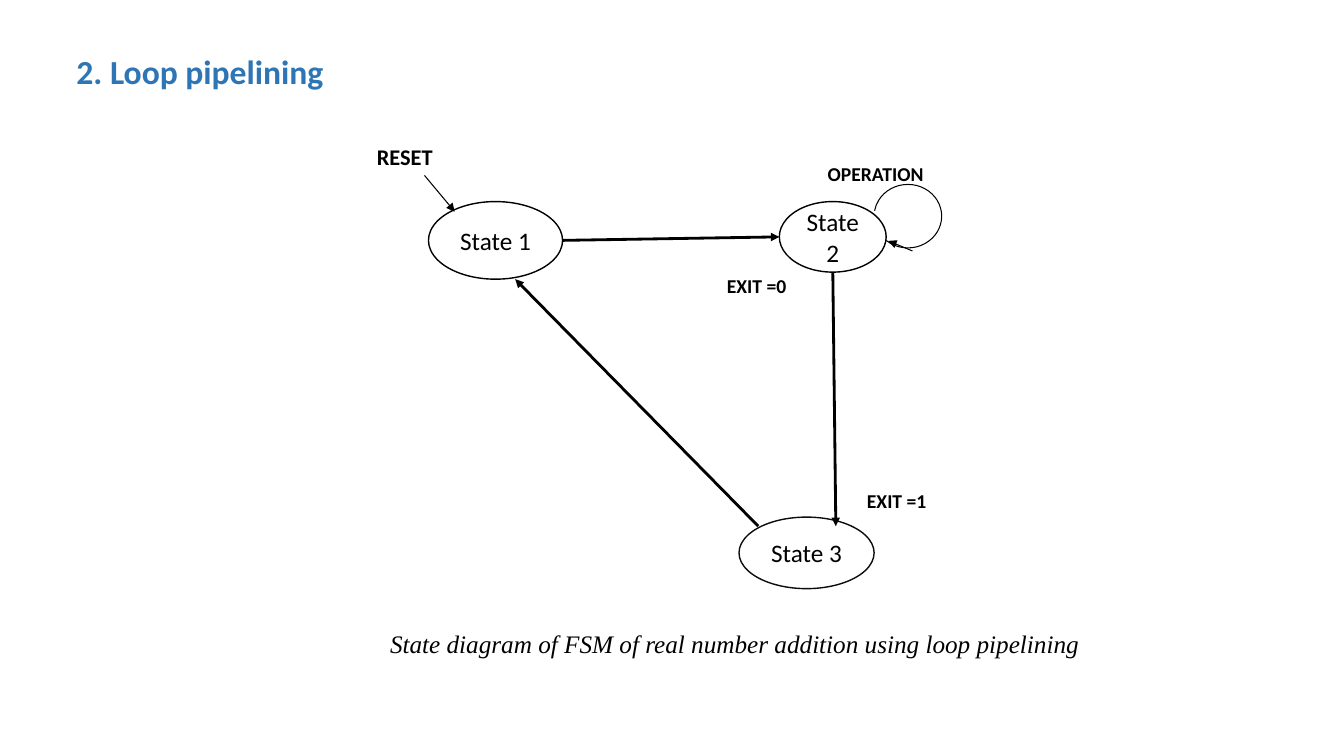
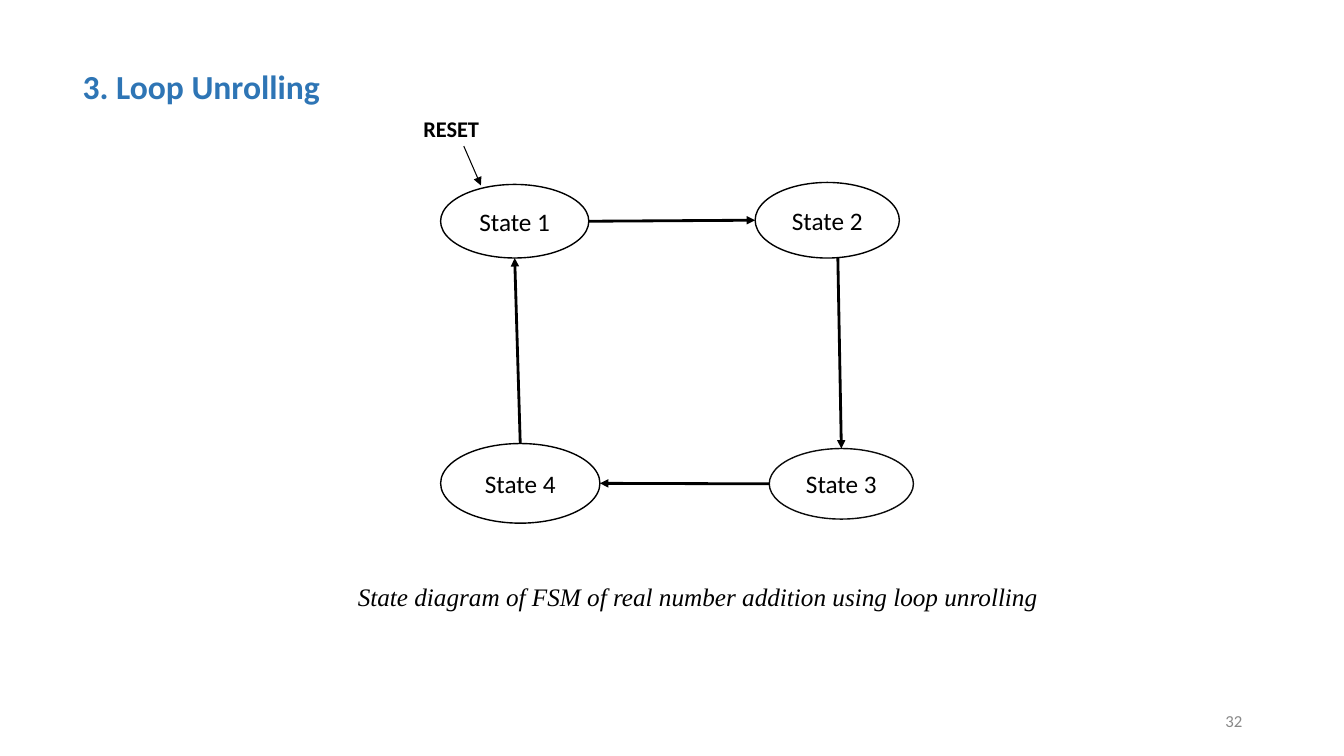
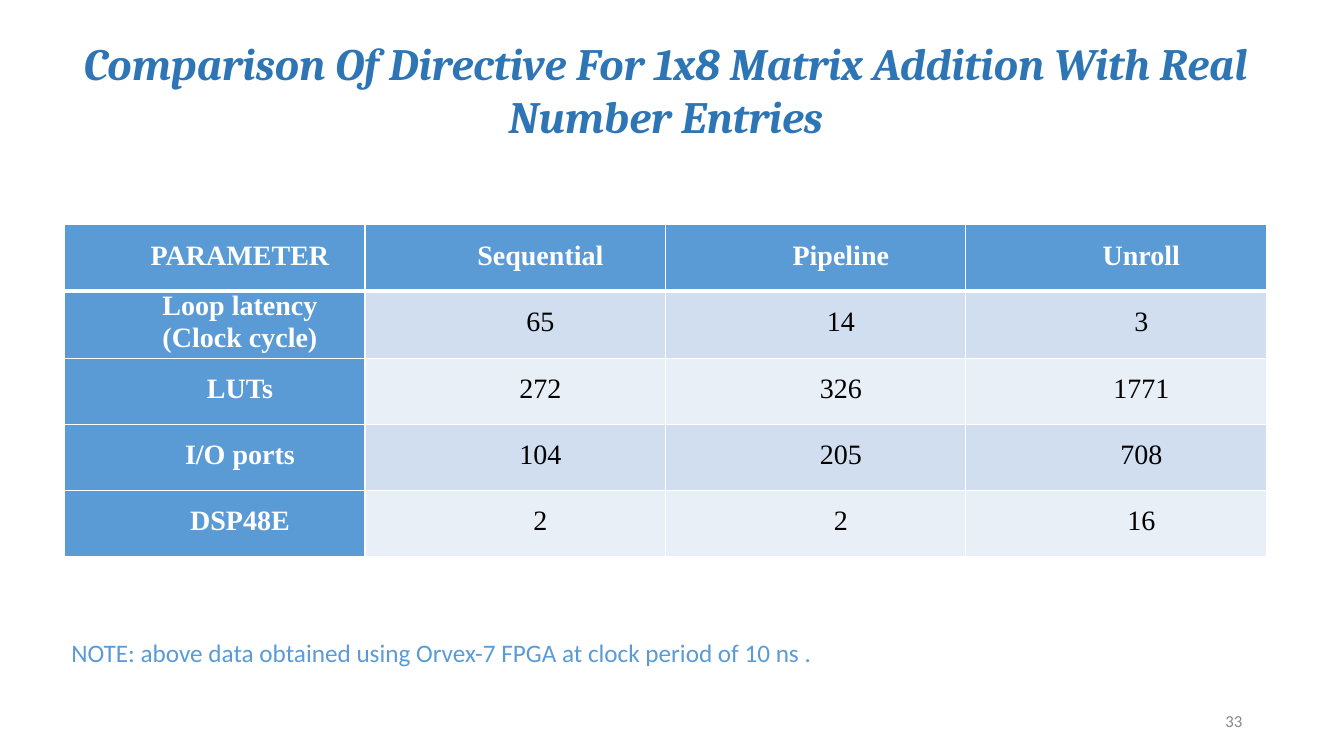
from dataclasses import dataclass
from typing import NamedTuple

from lxml import etree
from pptx import Presentation
from pptx import util as u
from pptx.dml.color import RGBColor
from pptx.enum import shapes, text
from pptx.oxml import ns

PX = 9144
TOP, LEFT, BOTTOM, RIGHT = range(4)


class Box(NamedTuple):
    """Rectangle in px."""
    x: int
    y: int
    w: int
    h: int

    def place(self, part):
        """Return a part of this box in slide px."""
        return Box(self.x + part[0], self.y + part[1], part[2], part[3])

    def emu(self):
        """Return left, top, width and height in EMU."""
        return [value * PX for value in self]


@dataclass(frozen=True)
class Style:
    """Look of one kind of text."""
    size: int
    color: str
    font: str = "Calibri"
    bold: bool = False
    italic: bool = False


class Theme:
    """Colours and type sizes of the deck."""
    ink, ink_soft, paper = "000000", "0C0C0C", "FFFFFF"
    blue, band_dark, band_light = "5B9BD5", "D0DEEF", "E9EFF7"
    heading = Style(24, "2E75B5", bold=True)
    banner = Style(32, "2E75B5", "Cambria", True, True)
    state = Style(18, ink)
    event = Style(16, ink, bold=True)
    signal = Style(14, ink, bold=True)
    caption = Style(18, ink, "Times New Roman", italic=True)
    note = Style(18, blue)
    number = Style(12, "888888")
    head_cell = Style(20, paper, "Times New Roman", True)
    body_cell = Style(20, ink, "Times New Roman")
    outline, heavy, fine = 1, 2, 0.75


def rgb(code):
    """Return a colour from its hex code."""
    return RGBColor.from_string(code)


def fill_text(frame, words, style, align=text.PP_ALIGN.LEFT, spacing=None):
    """Set the words of a frame and format them."""
    frame.text = words
    for para in frame.paragraphs:
        para.alignment = align
        para.line_spacing = spacing
        for span in para.runs:
            font = span.font
            font.name, font.size = style.font, u.Pt(style.size)
            font.bold, font.italic = style.bold, style.italic
            font.color.rgb = rgb(style.color)


def add_text(page, box, words, style, middle=False, **layout):
    """Add a wrapping text box."""
    frame = page.shapes.add_textbox(*box.emu()).text_frame
    frame.word_wrap = True
    if middle:
        frame.vertical_anchor = text.MSO_ANCHOR.MIDDLE
    fill_text(frame, words, style, **layout)


def add_number(page, number):
    """Add the slide number at the lower right."""
    add_text(page, Box(942, 695, 300, 40), number, Theme.number, True,
             align=text.PP_ALIGN.RIGHT)


def add_state(page, box, name):
    """Add one state as a labelled ellipse."""
    oval = page.shapes.add_shape(shapes.MSO_SHAPE.OVAL, *box.emu())
    oval.shadow.inherit = False
    oval.fill.solid()
    oval.fill.fore_color.rgb = rgb(Theme.paper)
    oval.line.color.rgb = rgb(Theme.ink_soft if name == "State 3" else Theme.ink)
    oval.line.width = u.Pt(Theme.outline)
    oval.text_frame.word_wrap = True
    oval.text_frame.vertical_anchor = text.MSO_ANCHOR.MIDDLE
    fill_text(oval.text_frame, name, Theme.state, text.PP_ALIGN.CENTER)
    return oval


def add_arrow(page, box, ovals, start, end, width):
    """Add an arrow between points or (state, side) pairs."""
    arrow = page.shapes.add_connector(shapes.MSO_CONNECTOR.STRAIGHT, 0, 0, 0, 0)
    if start[0] in ovals:
        arrow.begin_connect(ovals[start[0]], start[1])
    else:
        arrow.begin_x, arrow.begin_y = [(a + b) * PX for a, b in zip(box, start)]
    if end[0] in ovals:
        arrow.end_connect(ovals[end[0]], end[1])
    else:
        arrow.end_x, arrow.end_y = [(a + b) * PX for a, b in zip(box, end)]
    for joint in arrow._element.xpath(".//a:stCxn | .//a:endCxn"):
        joint.set("idx", str(2 * int(joint.get("idx"))))
    arrow.line.color.rgb = rgb(Theme.ink)
    arrow.line.width = u.Pt(width)
    etree.SubElement(arrow.line._get_or_add_ln(), ns.qn("a:tailEnd"), type="triangle")
    etree.SubElement(arrow._element.spPr, ns.qn("a:effectLst"))


def add_loop(page, box):
    """Add the arc of a state that returns to itself."""
    arc = page.shapes.add_shape(shapes.MSO_SHAPE.ARC, *box.emu())
    arc.shadow.inherit = False
    arc.adjustments[0], arc.adjustments[1] = 113.51, 78.95
    arc.fill.background()
    arc.line.color.rgb = rgb(Theme.ink)
    arc.line.width = u.Pt(Theme.fine)


def add_diagram(page, box, states, heavy, fine, labels):
    """Draw a state diagram inside a box."""
    ovals = {name: add_state(page, box.place(part), name)
             for name, part in states.items()}
    for links, width in ((heavy, Theme.heavy), (fine, Theme.fine)):
        for start, end in links:
            add_arrow(page, box, ovals, start, end, width)
    for words, part, style in labels:
        add_text(page, box.place(part), words, style)


def add_border(cell, side, width):
    """Give one side of a cell a white border."""
    line = etree.SubElement(cell._tc.get_or_add_tcPr(), ns.qn(f"a:ln{side}"),
                            w=str(u.Pt(width)))
    paint = etree.SubElement(line, ns.qn("a:solidFill"))
    etree.SubElement(paint, ns.qn("a:srgbClr"), val=Theme.paper)


def add_comparison(page, box, rows):
    """Add the table with a coloured first row and first column."""
    table = page.shapes.add_table(len(rows), len(rows[0]), *box.emu()).table
    for r, row in enumerate(rows):
        for c, words in enumerate(row):
            cell = table.cell(r, c)
            cell.margin_left = cell.margin_right = 7 * PX
            cell.margin_top = cell.margin_bottom = 0
            is_head = r == 0 or c == 0
            fill_text(cell.text_frame, words,
                      Theme.head_cell if is_head else Theme.body_cell,
                      text.PP_ALIGN.CENTER, 1 if "\n" in words else 1.5)
            for para in cell.text_frame.paragraphs:
                para._p.get_or_add_pPr().set("marL", str(50 * PX))
            for side in "LRTB":
                under_head = (r, side) in ((0, "B"), (1, "T"))
                add_border(cell, side, 3 if under_head else 1)
            band = Theme.band_dark if r % 2 else Theme.band_light
            cell.fill.solid()
            cell.fill.fore_color.rgb = rgb(Theme.blue if is_head else band)


def build_pipelining(page):
    """Build the loop pipelining slide."""
    add_text(page, Box(66, 28, 1072, 89), "2. Loop pipelining", Theme.heading,
             True, spacing=0.9)
    box = Box(360, 130, 600, 460)
    add_diagram(
        page, box,
        states={"State 1": (65, 70, 133, 77), "State 2": (413, 70, 106, 70),
                "State 3": (373, 383, 134, 71)},
        heavy=[(("State 1", RIGHT), ("State 2", LEFT)),
               ((392, 392), (151, 147)),
               (("State 2", BOTTOM), (469, 392))],
        fine=[((545, 119), (521, 109)), ((61, 44), (91, 80))],
        labels=[("OPERATION", (451, 26, 142, 34), Theme.signal),
                ("RESET", (4, 7, 122, 37), Theme.event),
                ("EXIT =0", (351, 137, 88, 34), Theme.signal),
                ("EXIT =1", (490, 350, 100, 34), Theme.signal)])
    add_loop(page, box.place((507, 53, 67, 63)))
    add_text(page, Box(377, 618, 869, 40),
             "State diagram of FSM of real number addition using loop pipelining",
             Theme.caption)


def build_unrolling(page):
    """Build the loop unrolling slide."""
    add_number(page, "32")
    add_text(page, Box(72, 60, 512, 50), "3. Loop Unrolling", Theme.heading)
    add_diagram(
        page, Box(360, 100, 600, 430),
        states={"State 1": (77, 83, 147, 73), "State 2": (389, 81, 143, 75),
                "State 3": (403, 345, 143, 70), "State 4": (77, 340, 158, 79)},
        heavy=[(("State 1", RIGHT), ("State 2", LEFT)),
               ((471, 156), ("State 3", TOP)),
               (("State 3", LEFT), ("State 4", RIGHT)),
               (("State 4", TOP), ("State 1", BOTTOM))],
        fine=[((100, 45), (117, 84))],
        labels=[("RESET", (50, 9, 122, 37), Theme.event)])
    add_text(page, Box(345, 572, 739, 40),
             "State diagram of FSM of real number addition using loop unrolling",
             Theme.caption)


def build_comparison(page):
    """Build the slide that compares the directives."""
    add_number(page, "33")
    add_text(page, Box(44, 30, 1233, 118),
             "Comparison Of Directive For 1x8 Matrix Addition With Real Number Entries",
             Theme.banner, align=text.PP_ALIGN.CENTER)
    add_comparison(page, Box(64, 223, 1192, 328), [
        ("PARAMETER", "Sequential", "Pipeline", "Unroll"),
        ("Loop latency\n(Clock cycle)", "65", "14", "3"),
        ("LUTs", "272", "326", "1771"),
        ("I/O ports", "104", "205", "708"),
        ("DSP48E", "2", "2", "16"),
    ])
    add_text(page, Box(61, 627, 904, 40),
             "NOTE: above data obtained using Orvex-7 FPGA at clock period of 10 ns .",
             Theme.note)


def main():
    """Build and save the deck."""
    deck = Presentation()
    deck.slide_width, deck.slide_height = 1333 * PX, 750 * PX
    for build in (build_pipelining, build_unrolling, build_comparison):
        build(deck.slides.add_slide(deck.slide_layouts[6]))
    deck.save("out.pptx")


if __name__ == "__main__":
    main()
